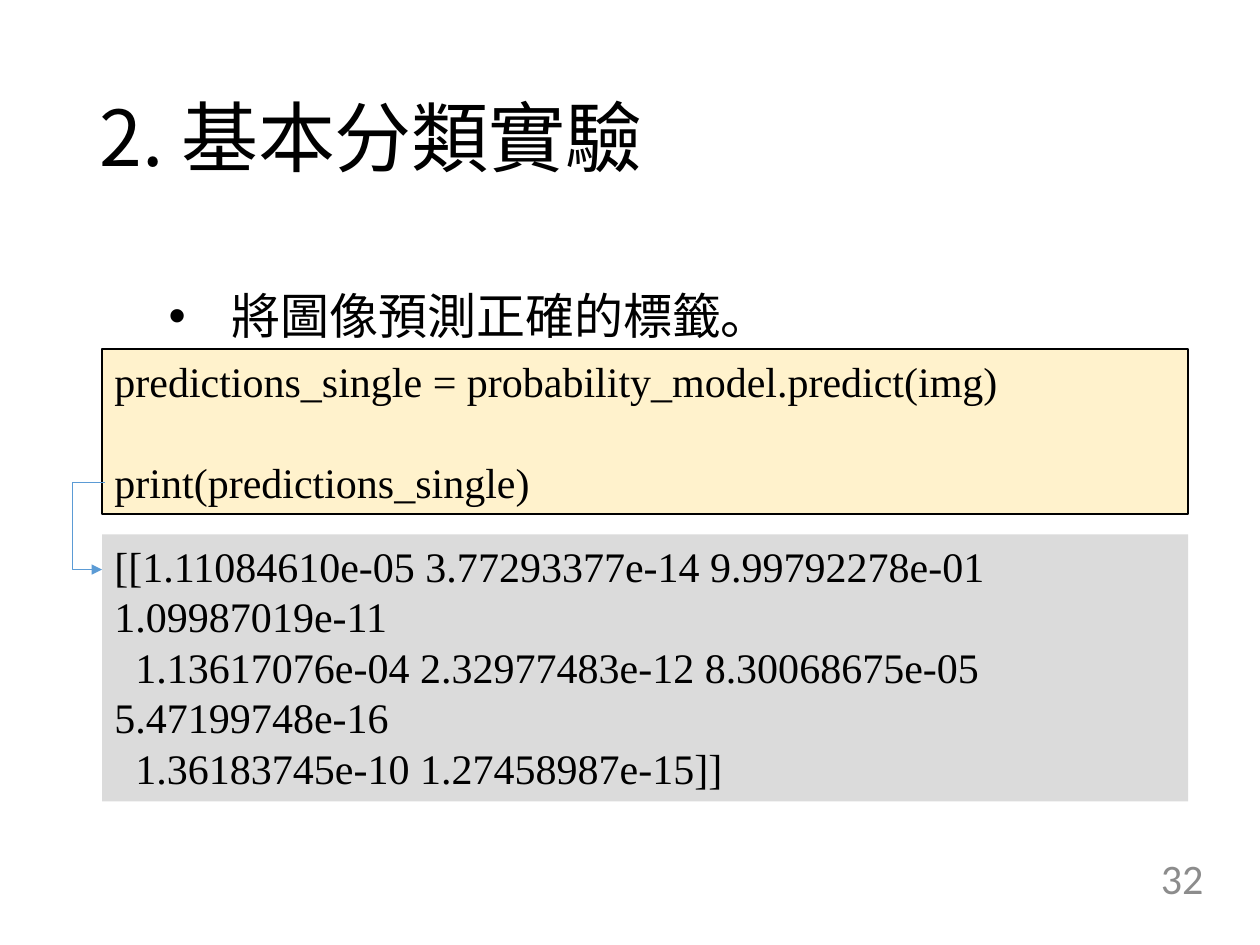
import pptx
import pptx.util
import pptx.dml.color
import pptx.enum.shapes
import pptx.enum.text
import pptx.oxml
import pptx.oxml.ns

Inches, Pt = pptx.util.Inches, pptx.util.Pt
RGBColor = pptx.dml.color.RGBColor
Align, Anchor = pptx.enum.text.PP_ALIGN, pptx.enum.text.MSO_ANCHOR
Kind = pptx.enum.shapes.MSO_SHAPE
qn = pptx.oxml.ns.qn

BLACK = RGBColor(0x00, 0x00, 0x00)
CREAM = RGBColor(0xFF, 0xF2, 0xCC)
SILVER = RGBColor(0xDB, 0xDB, 0xDB)
BLUE = RGBColor(0x5B, 0x9B, 0xD5)
GRAY = RGBColor(0x8C, 0x8C, 0x8C)
CJK, SERIF, SANS = "Noto Sans CJK SC", "Times New Roman", "Calibri"
LINE = 28.8  # height of a code line in points


def add(parent, tag, **attrs):
    node = pptx.oxml.parse_xml(
        f'<{tag} xmlns:a="http://schemas.openxmlformats.org/drawingml/2006/main"/>')
    for key, val in attrs.items():
        node.set(key, val)
    parent.append(node)


def write(shape, text, size, font, color=BLACK, align=Align.LEFT,
          anchor=Anchor.TOP, spacing=None, bullet=False):
    frame = shape.text_frame
    frame.word_wrap = True
    frame.auto_size = pptx.enum.text.MSO_AUTO_SIZE.NONE
    frame.vertical_anchor = anchor
    gap = 0
    for line in text.split("\n"):
        if not line:  # an empty code line becomes space before the next
            gap += LINE
            continue
        para = frame.paragraphs[0]
        if para.runs:
            para = frame.add_paragraph()
        para.alignment = align
        if spacing:
            para.line_spacing = spacing
        if gap:
            para.space_before = Pt(gap)
            gap = 0
        if bullet:
            props = para._p.get_or_add_pPr()
            props.set("marL", str(Inches(0.5)))
            props.set("indent", str(-Inches(0.5)))
            add(props, "a:buFont", typeface="Arial")
            add(props, "a:buChar", char="•")
        run = para.add_run()
        run.text = line
        run.font.size = Pt(size)
        run.font.name = font
        run.font.color.rgb = color
        add(run._r.get_or_add_rPr(), "a:ea", typeface=font)


deck = pptx.Presentation()
deck.slide_width, deck.slide_height = Inches(10), Inches(7.5)
slide = deck.slides.add_slide(deck.slide_layouts[5])
shapes = slide.shapes

# Title
title = shapes.title
title.left, title.top = Inches(0.69), Inches(0.4)
title.width, title.height = Inches(8.62), Inches(1.45)
write(title, "2. 基本分類實驗", 44, CJK, anchor=Anchor.MIDDLE, spacing=0.9)

# Bullet
point = shapes.add_textbox(Inches(1.24), Inches(2.22), Inches(7.75), Inches(0.57))
write(point, "將圖像預測正確的標籤。", 28, CJK, bullet=True)

# Code and its output
code = """predictions_single = probability_model.predict(img)

print(predictions_single)"""
result = """[[1.11084610e-05 3.77293377e-14 9.99792278e-01 1.09987019e-11
  1.13617076e-04 2.32977483e-12 8.30068675e-05 5.47199748e-16
  1.36183745e-10 1.27458987e-15]]"""
for text, top, height, fill, edge in (
        (code, 2.77, 1.31, CREAM, BLACK),
        (result, 4.24, 2.12, SILVER, None)):
    box = shapes.add_shape(Kind.RECTANGLE, Inches(0.81), Inches(top),
                           Inches(8.62), Inches(height))
    box.shadow.inherit = False
    box.fill.solid()
    box.fill.fore_color.rgb = fill
    if edge is None:
        box.line.fill.background()
    else:
        box.line.color.rgb = edge
        box.line.width = Pt(0.75)
    write(box, text, 24, SERIF, spacing=Pt(LINE))

# Bent arrow from the print line to its output
arrow = shapes.add_connector(pptx.enum.shapes.MSO_CONNECTOR.ELBOW,
                             Inches(0.83), Inches(3.83), Inches(0.81), Inches(4.52))
arrow.line.color.rgb = BLUE
arrow.line.width = Pt(0.5)
add(arrow.line._get_or_add_ln(), "a:tailEnd", type="triangle")
props = arrow._element.spPr
add(props, "a:effectLst")
bend = props.find(qn("a:prstGeom")).get_or_add_avLst()
add(bend, "a:gd", name="adj1", fmla="val 1250000")

# Page number
page = shapes.add_textbox(Inches(7.4), Inches(6.77), Inches(2.25), Inches(0.4))
write(page, "32", 24, SANS, color=GRAY, align=Align.RIGHT, anchor=Anchor.MIDDLE)

deck.save("out.pptx")
